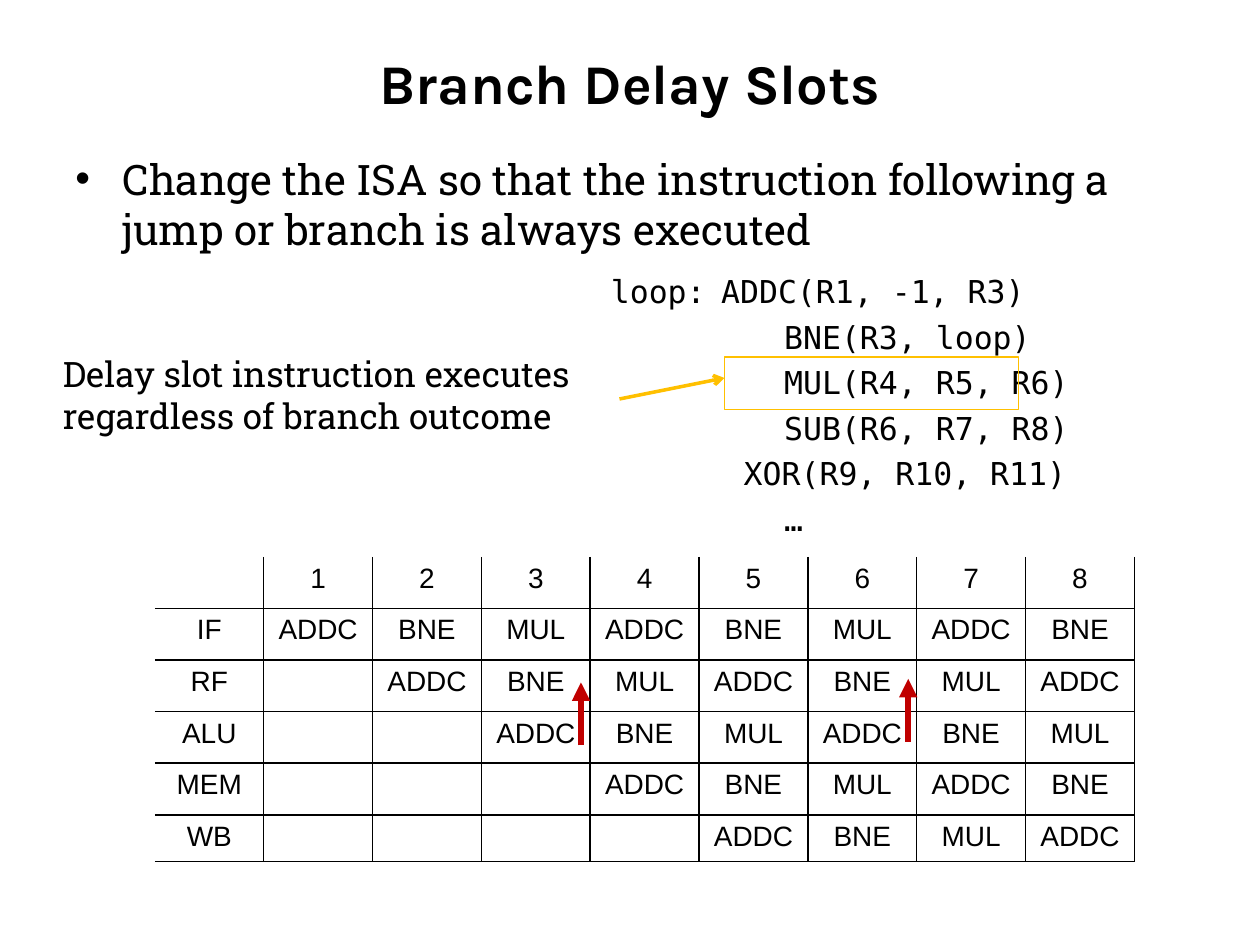
import pptx
import pptx.dml.color
import pptx.enum.shapes
import pptx.enum.text
import pptx.oxml
import pptx.oxml.ns
import pptx.util
import lxml.etree

Pt = pptx.util.Pt
ALIGN = pptx.enum.text.PP_ALIGN
ANCHOR = pptx.enum.text.MSO_ANCHOR
COLORS = {"ink": "000000", "slot": "FFC000", "bypass": "C00000"}
FONTS = {"title": "Karla", "body": "Roboto Slab", "code": "DejaVu Sans Mono", "table": "Arial"}


def rgb(name):
    return pptx.dml.color.RGBColor.from_string(COLORS[name])


def sub(parent, tag, **attributes):
    return lxml.etree.SubElement(parent, pptx.oxml.ns.qn(tag), attributes)


def write(paragraph, text, font, size, bold=False, align=ALIGN.LEFT, before=0,
          left=0, hanging=0, bullet=None):
    paragraph.alignment = align
    paragraph.space_before = Pt(before)
    properties = paragraph._p.get_or_add_pPr()
    properties.set("marL", str(Pt(left)))
    properties.set("indent", str(-Pt(hanging)))
    if bullet:
        sub(properties, "a:buFont", typeface="Arial")
        sub(properties, "a:buChar", char=bullet)
    else:
        sub(properties, "a:buNone")
    if not text:
        sub(paragraph._p, "a:endParaRPr", sz=str(size * 100))
        return
    for number, line in enumerate(text.split("\n")):
        if number:
            paragraph.add_line_break()
        run = paragraph.add_run()
        run.text = line
        run.font.name = FONTS[font]
        run.font.size = Pt(size)
        run.font.bold = bold
        run.font.color.rgb = rgb("ink")


class SlideBuilder:
    def __init__(self, deck):
        self.slide = deck.slides.add_slide(deck.slide_layouts[5])
        self.shapes = self.slide.shapes

    def title(self, text, left, top, width, height):
        title = self.shapes.title
        title.left, title.top, title.width, title.height = map(Pt, (left, top, width, height))
        title.text_frame.vertical_anchor = ANCHOR.MIDDLE
        write(title.text_frame.paragraphs[0], text, "title", 32, bold=True, align=ALIGN.CENTER)

    def text(self, lines, left, top, width, height, wrap=True, **style):
        frame = self.shapes.add_textbox(*map(Pt, (left, top, width, height))).text_frame
        frame.word_wrap = wrap
        for number, (line, indent) in enumerate(lines):
            paragraph = frame.add_paragraph() if number else frame.paragraphs[0]
            write(paragraph, line, **style, **indent)

    def outline(self, left, top, width, height, color, weight):
        box = self.shapes.add_shape(pptx.enum.shapes.MSO_SHAPE.RECTANGLE,
                                    *map(Pt, (left, top, width, height)))
        box.shadow.inherit = False
        box.fill.background()
        box.line.color.rgb = rgb(color)
        box.line.width = Pt(weight)

    def arrow(self, start, end, color, weight, head):
        arrow = self.shapes.add_connector(pptx.enum.shapes.MSO_CONNECTOR.STRAIGHT,
                                          *map(Pt, (*start, *end)))
        arrow.line.color.rgb = rgb(color)
        arrow.line.width = Pt(weight)
        sub(arrow.line._get_or_add_ln(), "a:tailEnd", type=head)
        sub(arrow._element.spPr, "a:effectLst")

    def table(self, rows, left, top, column_width, row_heights):
        columns = len(rows[0])
        table = self.shapes.add_table(len(rows), columns, Pt(left), Pt(top),
                                      Pt(column_width * columns), Pt(sum(row_heights))).table
        table.first_row = table.horz_banding = False
        for column in table.columns:
            column.width = Pt(column_width)
        for r, (row, height) in enumerate(zip(rows, row_heights)):
            table.rows[r].height = Pt(height)
            for c, text in enumerate(row):
                cell = table.cell(r, c)
                write(cell.text_frame.paragraphs[0], text, "table", 16, align=ALIGN.CENTER)
                self.borders(cell, {"L": c > 0, "R": True, "T": r > 0, "B": True})
                cell.fill.background()

    def borders(self, cell, sides):
        properties = cell._tc.get_or_add_tcPr()
        for side, drawn in sides.items():
            line = sub(properties, "a:ln" + side, w=str(Pt(1)))
            if drawn:
                sub(sub(line, "a:solidFill"), "a:srgbClr", val=COLORS["ink"])
            else:
                sub(line, "a:noFill")


def pipeline_rows(stages, loop_body, cycles):
    rows = [[""] + [str(cycle + 1) for cycle in range(cycles)]]
    for delay, stage in enumerate(stages):
        rows.append([stage] + [loop_body[(cycle - delay) % len(loop_body)] if cycle >= delay else ""
                               for cycle in range(cycles)])
    return rows


def main():
    deck = pptx.Presentation()
    deck.slide_width, deck.slide_height = Pt(720), Pt(540)
    page = SlideBuilder(deck)
    page.title("Branch Delay Slots", 36, 21.6, 648, 50.4)
    page.text([("Change the ISA so that the instruction following a jump or branch is always executed",
                {"left": 27, "hanging": 27, "bullet": "•"})],
              36, 84, 648, 72, font="body", size=24)

    operation = {"left": 99}
    page.text([("loop:\tADDC(R1, -1, R3)", {"left": 63, "hanging": 63}),
               ("BNE(R3, loop)", operation),
               ("MUL(R4, R5, R6)", operation),
               ("SUB(R6, R7, R8)", operation),
               ("XOR(R9, R10, R11)", {"left": 75.9}),
               ("…", operation)],
              342, 152, 360, 160, font="code", size=18, before=4.4)
    page.outline(414, 204, 168, 30, "slot", 0.75)
    page.text([("Delay slot instruction executes\nregardless of branch outcome", {})],
              28.8, 198, 319, 55.5, wrap=False, font="body", size=20)
    page.arrow((354, 228), (414, 216), "slot", 2, "arrow")

    rows = pipeline_rows(["IF", "RF", "ALU", "MEM", "WB"], ["ADDC", "BNE", "MUL"], 8)
    page.table(rows, 88.5, 318.2, 62.2, [29.5] * 5 + [26.6])
    for x, y in [(332, 426), (519, 424)]:
        page.arrow((x, y), (x, y - 36), "bypass", 3.5, "triangle")
    deck.save("out.pptx")


if __name__ == "__main__":
    main()
